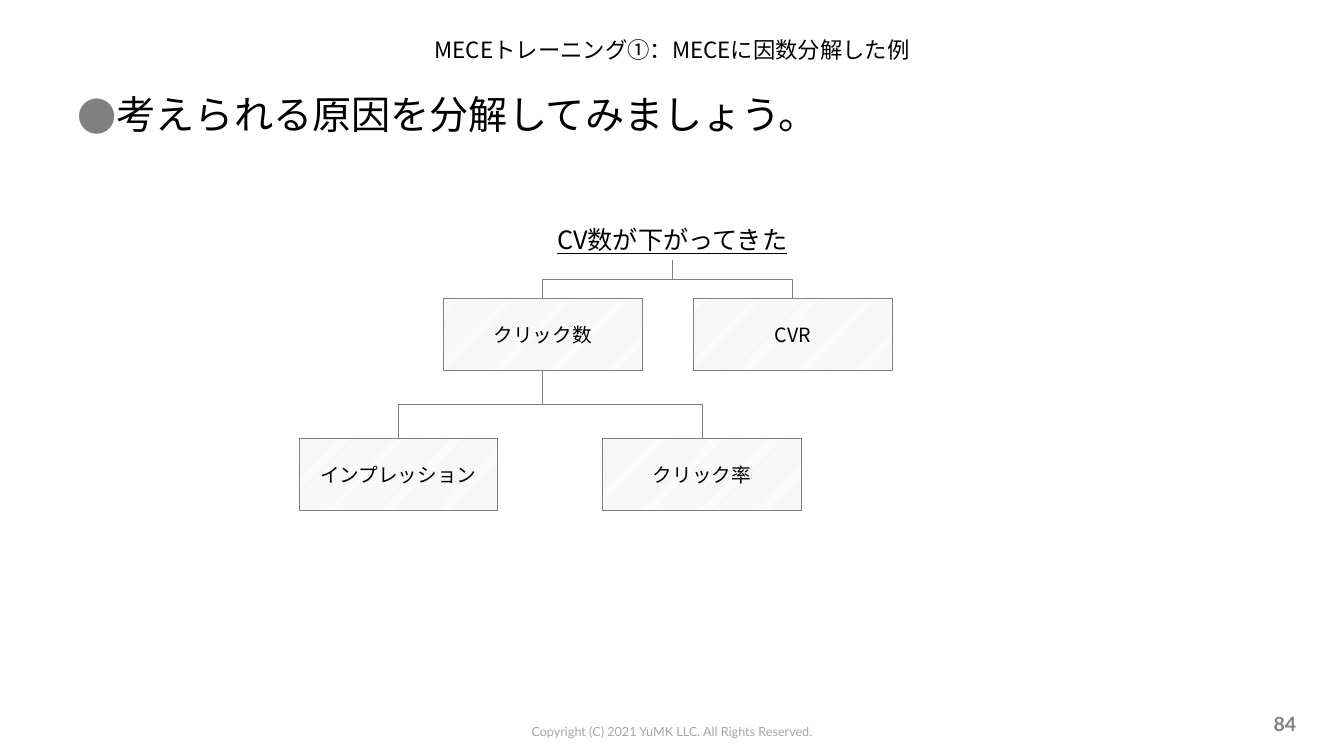
from dataclasses import dataclass

from lxml.etree import SubElement
from pptx import Presentation
from pptx.dml.color import RGBColor
from pptx.enum.dml import MSO_PATTERN
from pptx.enum.shapes import MSO_CONNECTOR, MSO_SHAPE
from pptx.enum.text import MSO_ANCHOR, MSO_AUTO_SIZE, PP_ALIGN
from pptx.oxml.ns import qn
from pptx.util import Cm, Pt


@dataclass(frozen=True)
class Theme:
    black: str = "000000"
    grey: str = "808080"
    footer: str = "A6A6A6"
    hatch: str = "D9D9D9"
    white: str = "FFFFFF"
    japanese: str = "Noto Sans CJK JP"
    latin: str = "Lato"
    title_size: int = 16
    body_size: int = 28
    heading_size: int = 18
    node_size: int = 14
    number_size: int = 14
    footer_size: int = 9
    line_width: float = 0.5


THEME = Theme()


def color(value):
    return RGBColor.from_string(value)


def place(shape, left, top, width, height):
    shape.left, shape.top = Cm(left), Cm(top)
    shape.width, shape.height = Cm(width), Cm(height)


def write(shape, text, size, font=THEME.japanese, fill=THEME.black, align=PP_ALIGN.CENTER,
          anchor=MSO_ANCHOR.MIDDLE, bold=False, underline=False, wrap=True):
    frame = shape.text_frame
    frame.auto_size = MSO_AUTO_SIZE.NONE
    frame.word_wrap = wrap
    frame.vertical_anchor = anchor
    para = frame.paragraphs[0]
    para.alignment = align
    para.space_before = Pt(0)
    span = para.add_run()
    span.text = text
    span.font.size = Pt(size)
    span.font.name = font
    span.font.bold = bold
    span.font.underline = underline
    span.font.color.rgb = color(fill)
    SubElement(span.font._element, qn("a:ea"), typeface=font)
    return para


def add_text(page, box, text, size, **formats):
    shape = page.shapes.add_textbox(*map(Cm, box))
    write(shape, text, size, **formats)
    return shape


def add_title(page, box, text):
    place(page.shapes.title, *box)
    write(page.shapes.title, text, THEME.title_size)


def add_body(page, box, text):
    body = page.placeholders[1]
    place(body, *box)
    para = write(body, text, THEME.body_size, align=PP_ALIGN.LEFT, anchor=MSO_ANCHOR.TOP)
    properties = para._p.get_or_add_pPr()
    indent = Cm(0.95)
    properties.set("marL", str(indent))
    properties.set("indent", str(-indent))
    bullet_color = SubElement(properties, qn("a:buClr"))
    SubElement(bullet_color, qn("a:srgbClr"), val=THEME.grey)
    SubElement(properties, qn("a:buFont"), typeface=THEME.japanese)
    SubElement(properties, qn("a:buChar"), char="●")


def add_footer(page, box, copyright_text, number):
    left, top, width, height = box
    add_text(page, (left, top + 0.38, 12.52, 0.64), copyright_text, THEME.footer_size,
             font=THEME.latin, fill=THEME.footer, anchor=MSO_ANCHOR.TOP)
    number_width = 7.9
    add_text(page, (left + width - number_width, top, number_width, height), number,
             THEME.number_size, font=THEME.latin, fill=THEME.grey,
             align=PP_ALIGN.RIGHT, bold=True)


def add_node(page, box, text):
    node = page.shapes.add_shape(MSO_SHAPE.RECTANGLE, *map(Cm, box))
    node.shadow.inherit = False
    node.fill.patterned()
    node.fill.pattern = MSO_PATTERN.LIGHT_UPWARD_DIAGONAL
    node.fill.fore_color.rgb = color(THEME.hatch)
    node.fill.back_color.rgb = color(THEME.white)
    node.line.color.rgb = color(THEME.grey)
    node.line.width = Pt(THEME.line_width)
    write(node, text, THEME.node_size)
    return node


def add_branch(page, parent, child):
    start_x, start_y = parent.left + parent.width // 2, parent.top + parent.height
    end_x, end_y = child.left + child.width // 2, child.top
    branch = page.shapes.add_connector(MSO_CONNECTOR.ELBOW, start_x, start_y, end_x, end_y)
    branch.begin_connect(parent, 2)
    branch.end_connect(child, 0)
    branch.line.color.rgb = color(THEME.grey)
    branch.line.width = Pt(THEME.line_width)
    properties = branch.element.spPr
    SubElement(properties, qn("a:effectLst"))

    drop, spread = end_y - start_y, abs(end_x - start_x)
    branch.left = (start_x + end_x - drop) // 2
    branch.top = (start_y + end_y - spread) // 2
    branch.width, branch.height = drop, spread
    to_right = end_x > start_x
    transform = properties.find(qn("a:xfrm"))
    transform.set("rot", str((270 if to_right else 90) * 60000))
    transform.set("flipH", "1" if to_right else "0")
    transform.set("flipV", "0")


def add_tree(page, box, heading_text, levels):
    left, top, _, height = box
    node_width, node_height = 5.0, 1.81
    parent = add_text(page, (left + 6.15, top, 6.5, 1.02), heading_text, THEME.heading_size,
                      anchor=MSO_ANCHOR.TOP, underline=True, wrap=False)
    row_tops = (top + 1.98, top + height - node_height)
    for row_top, level in zip(row_tops, levels):
        nodes = [add_node(page, (left + offset, row_top, node_width, node_height), text)
                 for offset, text in level]
        for node in nodes:
            add_branch(page, parent, node)
        parent = nodes[0]


def main():
    deck = Presentation()
    deck.slide_width, deck.slide_height = Cm(33.87), Cm(19.05)
    page = deck.slides.add_slide(deck.slide_layouts[1])
    add_title(page, (1.7, 0.56, 30.48, 1.37), "MECEトレーニング①：MECEに因数分解した例")
    add_body(page, (1.7, 2.16, 30.48, 14.71), "考えられる原因を分解してみましょう。")
    add_tree(page, (7.54, 5.54, 14.94, 7.32), "CV数が下がってきた", (
        ((3.64, "クリック数"), (9.94, "CVR")),
        ((0, "インプレッション"), (7.65, "クリック率")),
    ))
    add_footer(page, (10.67, 17.73, 22.25, 1.02),
               "Copyright (C) 2021 YuMK LLC. All Rights Reserved.", "84")
    deck.save("out.pptx")


if __name__ == "__main__":
    main()
